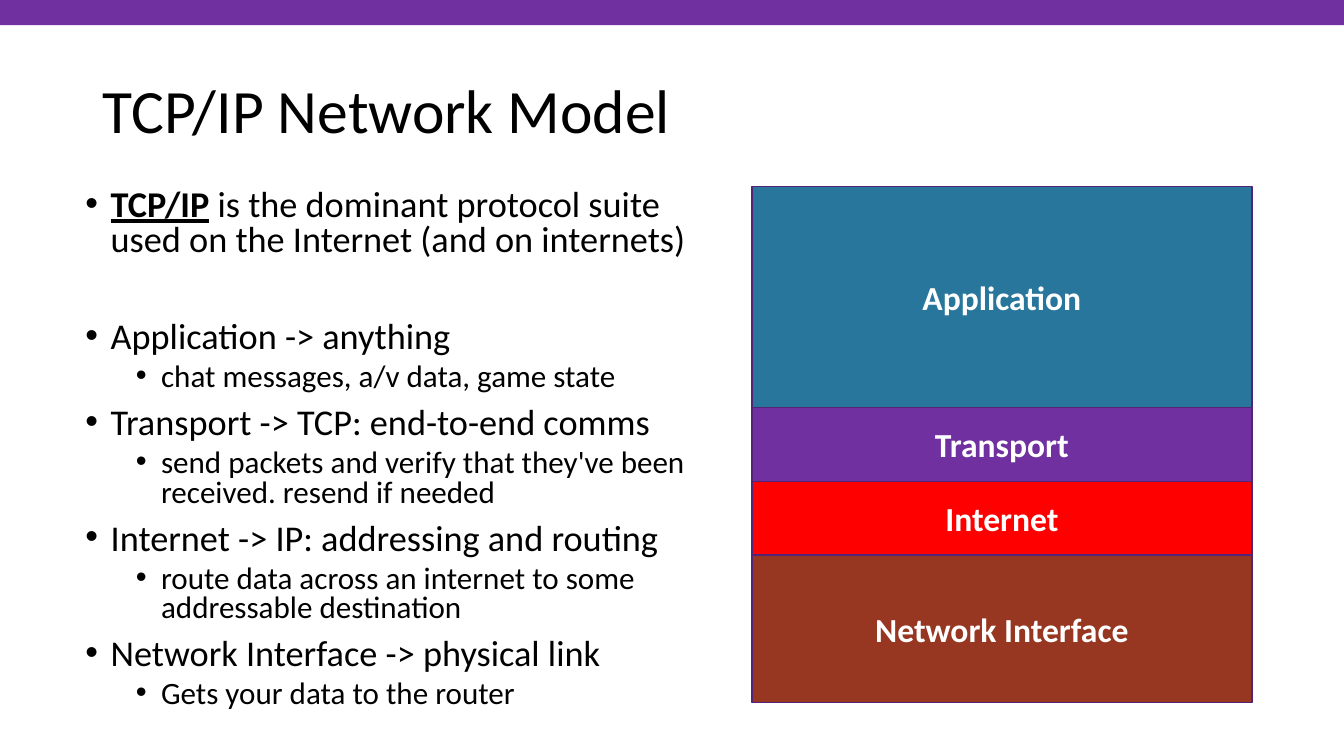
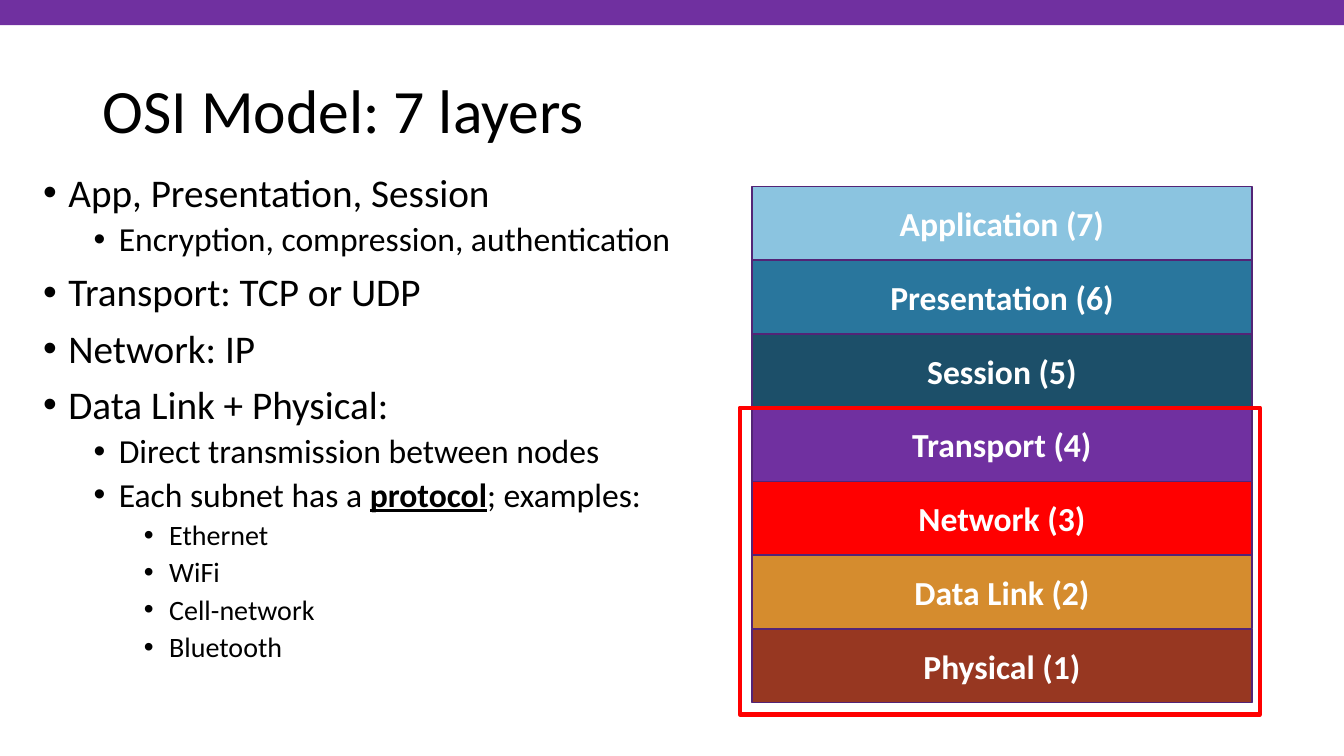
"""Build two slides that compare the TCP/IP and OSI layer models."""
import pptx
import pptx.dml.color
import pptx.enum.shapes
import pptx.enum.text
import pptx.oxml.ns
import pptx.util
from lxml import etree

RGBColor = pptx.dml.color.RGBColor
Inches = pptx.util.Inches
Pt = pptx.util.Pt

BLACK = RGBColor(0x00, 0x00, 0x00)
WHITE = RGBColor(0xFF, 0xFF, 0xFF)
PURPLE = RGBColor(0x70, 0x30, 0xA0)
DARK_PURPLE = RGBColor(0x53, 0x24, 0x76)
RED = RGBColor(0xFF, 0x00, 0x00)
PALE_BLUE = RGBColor(0x8B, 0xC4, 0xE0)
BLUE = RGBColor(0x29, 0x76, 0x9D)
NAVY = RGBColor(0x1C, 0x4F, 0x69)
ORANGE = RGBColor(0xD5, 0x8C, 0x2E)
BROWN = RGBColor(0x97, 0x37, 0x21)

FONT = "Calibri"
SLIDE_WIDTH, SLIDE_HEIGHT = 13.333, 7.5
STACK_LEFT, STACK_TOP, STACK_WIDTH, STACK_HEIGHT = 7.46, 1.85, 4.96, 5.12
ROW = STACK_HEIGHT / 7
FRAME_MARGIN = 0.12
BULLET_INDENT, LEVEL_INDENT = 0.25, 0.5

MODELS = [
    {
        "title": "TCP/IP Network Model",
        "notes_box": (0.75, 1.83, 6.5, 5.58),
        "sizes": (25.9, 22.2),
        "line_spacing": 0.8,
        "points": [
            (0, "*TCP/IP* is the dominant protocol suite used on the Internet (and on internets)"),
            (0, "Application -> anything"),
            (1, "chat messages, a/v data, game state"),
            (0, "Transport -> TCP: end-to-end comms"),
            (1, "send packets and verify that they've been received. resend if needed"),
            (0, "Internet -> IP: addressing and routing"),
            (1, "route data across an internet to some addressable destination"),
            (0, "Network Interface -> physical link"),
            (1, "Gets your data to the router"),
        ],
        "wide_gaps": {1: 45},
        "layers": [
            ("Application", 3, BLUE),
            ("Transport", 1, PURPLE),
            ("Internet", 1, RED),
            ("Network Interface", 2, BROWN),
        ],
        "framed_rows": 0,
    },
    {
        "title": "OSI Model: 7 layers",
        "notes_box": (0.33, 1.67, 6.92, 5.67),
        "sizes": (28, 24, 20),
        "line_spacing": 0.9,
        "points": [
            (0, "App, Presentation, Session"),
            (1, "Encryption, compression, authentication"),
            (0, "Transport: TCP or UDP"),
            (0, "Network: IP"),
            (0, "Data Link + Physical:"),
            (1, "Direct transmission between nodes"),
            (1, "Each subnet has a *protocol*; examples:"),
            (2, "Ethernet"),
            (2, "WiFi"),
            (2, "Cell-network"),
            (2, "Bluetooth"),
        ],
        "wide_gaps": {},
        "layers": [
            ("Application (7)", 1, PALE_BLUE),
            ("Presentation (6)", 1, BLUE),
            ("Session (5)", 1, NAVY),
            ("Transport (4)", 1, PURPLE),
            ("Network (3)", 1, RED),
            ("Data Link (2)", 1, ORANGE),
            ("Physical (1)", 1, BROWN),
        ],
        "framed_rows": 4,
    },
]


def add_box(slide, box, fill=None, line=None, line_width=1):
    rectangle = slide.shapes.add_shape(
        pptx.enum.shapes.MSO_SHAPE.RECTANGLE, *map(Inches, box))
    rectangle.shadow.inherit = False
    if fill is None:
        rectangle.fill.background()
    else:
        rectangle.fill.solid()
        rectangle.fill.fore_color.rgb = fill
    if line is None:
        rectangle.line.fill.background()
    else:
        rectangle.line.color.rgb = line
        rectangle.line.width = Pt(line_width)
    return rectangle


def style_run(run, size, color, bold=False, underline=False):
    run.font.name = FONT
    run.font.size = Pt(size)
    run.font.color.rgb = color
    run.font.bold = bold
    run.font.underline = underline


deck = pptx.Presentation()
deck.slide_width = Inches(SLIDE_WIDTH)
deck.slide_height = Inches(SLIDE_HEIGHT)
title_only = deck.slide_layouts[5]

for model in MODELS:
    slide = deck.slides.add_slide(title_only)
    add_box(slide, (0, 0, SLIDE_WIDTH, SLIDE_HEIGHT / 30), PURPLE)

    title = slide.shapes.title
    title.left, title.top, title.width, title.height = map(Inches, (0.92, 0.4, 11.5, 1.45))
    title.text_frame.text = model["title"]
    title.text_frame.vertical_anchor = pptx.enum.text.MSO_ANCHOR.MIDDLE
    heading = title.text_frame.paragraphs[0]
    heading.alignment = pptx.enum.text.PP_ALIGN.LEFT
    heading.line_spacing = 0.9
    style_run(heading.runs[0], 44, BLACK)

    notes = slide.shapes.add_textbox(*map(Inches, model["notes_box"])).text_frame
    notes.word_wrap = True
    for number, (level, point) in enumerate(model["points"]):
        paragraph = notes.add_paragraph() if number else notes.paragraphs[0]
        paragraph.level = level
        paragraph.line_spacing = model["line_spacing"]
        paragraph.space_before = Pt(model["wide_gaps"].get(number, 5 if level else 10))
        properties = paragraph._p.get_or_add_pPr()
        properties.set("marL", str(Inches(BULLET_INDENT + level * LEVEL_INDENT)))
        properties.set("indent", str(-Inches(BULLET_INDENT)))
        etree.SubElement(properties, pptx.oxml.ns.qn("a:buFont"), typeface="Arial")
        etree.SubElement(properties, pptx.oxml.ns.qn("a:buChar"), char="•")
        for part, words in enumerate(point.split("*")):
            if words:
                run = paragraph.add_run()
                run.text = words
                key_term = part % 2 == 1
                style_run(run, model["sizes"][level], BLACK, key_term, key_term)

    row = 0
    for name, rows, color in model["layers"]:
        layer = add_box(
            slide, (STACK_LEFT, STACK_TOP + row * ROW, STACK_WIDTH, rows * ROW),
            color, DARK_PURPLE)
        layer.text_frame.text = name
        layer.text_frame.vertical_anchor = pptx.enum.text.MSO_ANCHOR.MIDDLE
        label = layer.text_frame.paragraphs[0]
        label.alignment = pptx.enum.text.PP_ALIGN.CENTER
        style_run(label.runs[0], 24, WHITE, bold=True)
        row += rows

    if model["framed_rows"]:
        framed_height = model["framed_rows"] * ROW
        add_box(
            slide,
            (STACK_LEFT - FRAME_MARGIN, STACK_TOP + STACK_HEIGHT - framed_height,
             STACK_WIDTH + 2 * FRAME_MARGIN - 0.04, framed_height + FRAME_MARGIN),
            line=RED, line_width=3)

deck.save("out.pptx")
